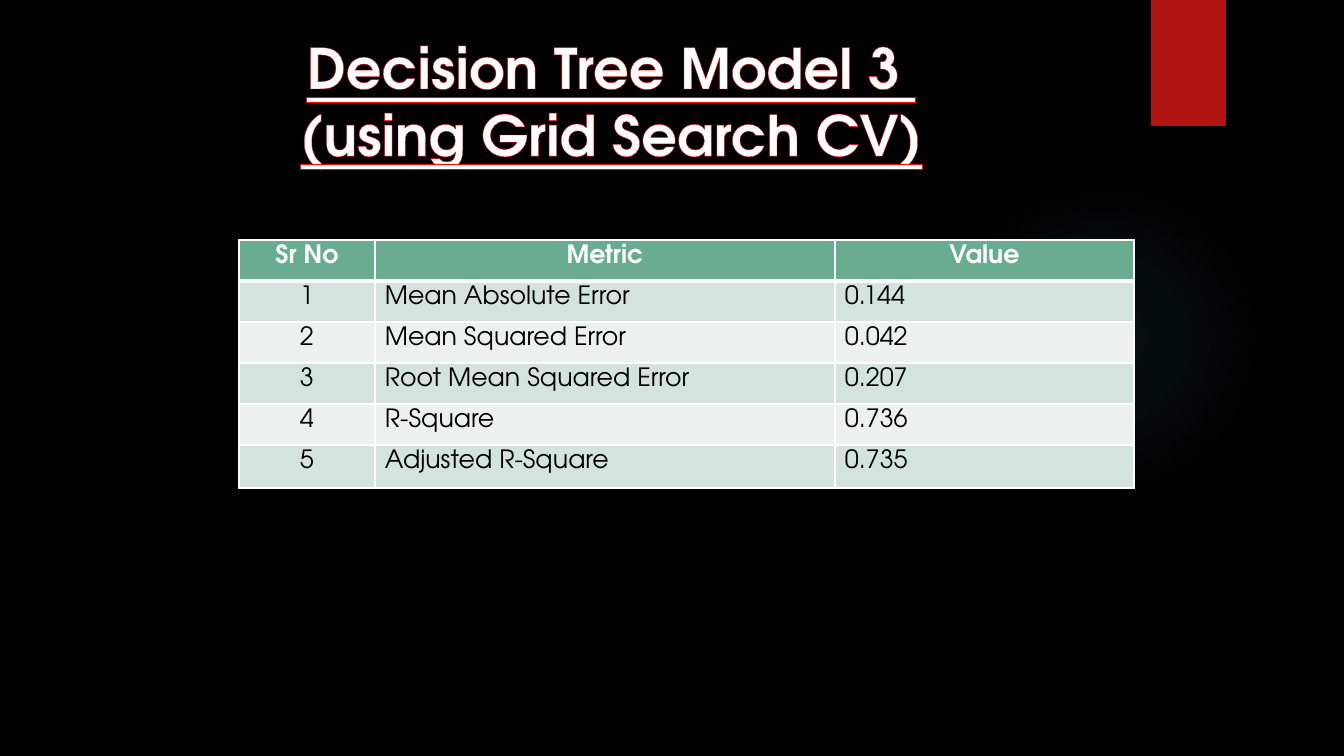
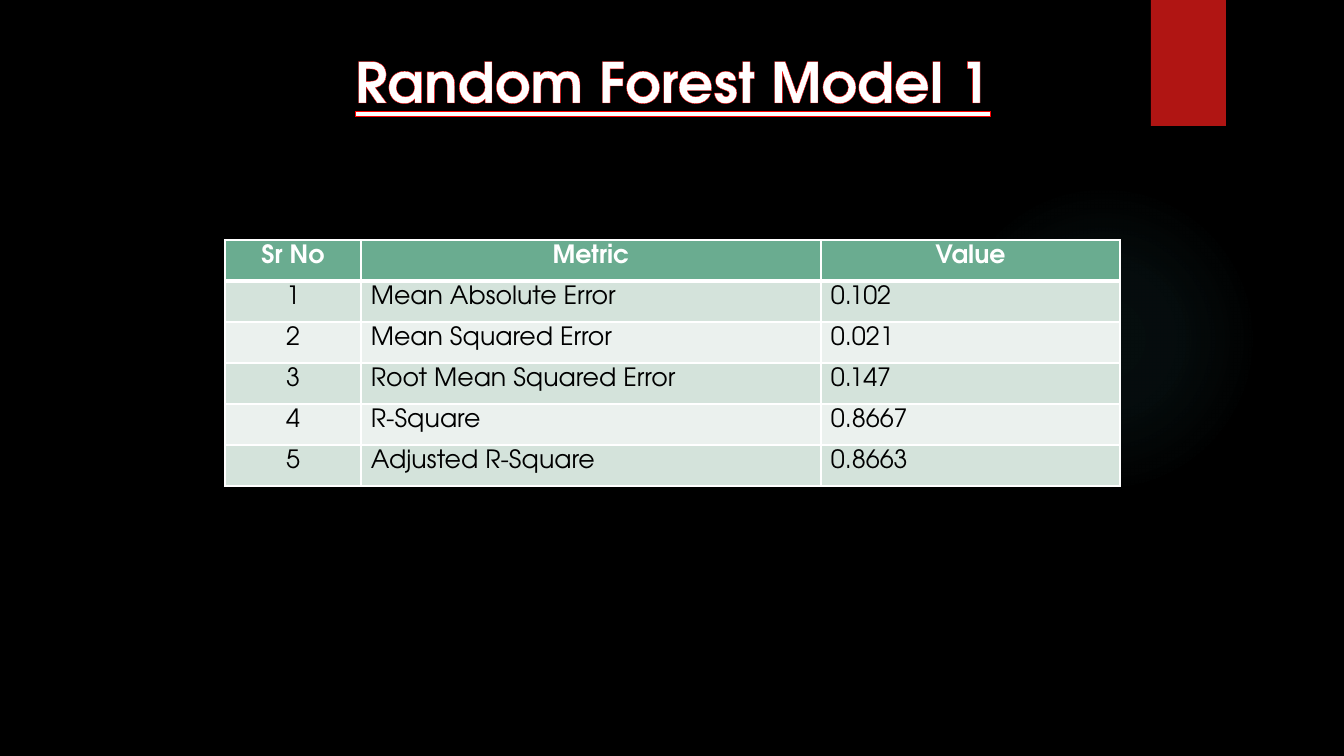
import dataclasses

import lxml.etree
import pptx
import pptx.dml.color
import pptx.enum.shapes
import pptx.enum.text
import pptx.oxml.ns
import pptx.presentation
import pptx.shapes.autoshape
import pptx.slide
import pptx.table
import pptx.text.text
import pptx.util

EMU_PER_PX = 914400 / 100.8
SLIDE_WIDTH, SLIDE_HEIGHT = 1344, 756

# Shared look
FONT = "TeX Gyre Adventor"
BLACK, WHITE, RED = "000000", "FFFFFF", "FF0000"
RIBBON, GLOW = "B01513", "50B9C1"
HEADER_FILL = "6AAC90"
BAND_FILLS = ("D4E3DB", "EBF1EE")
GLOW_STOPS = ((0, 7), (36, 6), (69, 0), (100, 0))  # position and opacity, percent

# Shared table layout
COLUMN_WIDTHS = (136, 460, 299)
ROW_HEIGHT = 41
TABLE_TOP = 240
CELL_MARGINS = {"margin_left": 10, "margin_right": 10, "margin_top": 5, "margin_bottom": 5}
HEADINGS = ("Sr No", "Metric", "Value")
METRICS = (
    "Mean Absolute Error",
    "Mean Squared Error",
    "Root Mean Squared Error",
    "R-Square",
    "Adjusted R-Square",
)

CENTER = pptx.enum.text.PP_ALIGN.CENTER
LEFT = pptx.enum.text.PP_ALIGN.LEFT
TITLE_FORMAT = {"size": pptx.util.Pt(40), "name": FONT, "bold": True, "underline": True}
HEADER_FORMAT = {"size": pptx.util.Pt(18), "name": FONT, "bold": True}
BODY_FORMAT = {**HEADER_FORMAT, "bold": False}


@dataclasses.dataclass(frozen=True)
class Box:
    left: int
    top: int
    width: int
    height: int


@dataclasses.dataclass(frozen=True)
class ModelResult:
    title: tuple[str, ...]
    title_box: Box
    table_left: int
    values: tuple[str, ...]
    last_row_height: int = ROW_HEIGHT


RESULTS = (
    ModelResult(
        ("Decision Tree Model 3 ", "(using Grid Search CV)"),
        Box(101, 28, 1020, 214),
        239,
        ("0.144", "0.042", "0.207", "0.736", "0.735"),
        last_row_height=43,
    ),
    ModelResult(
        ("Random Forest Model 1",),
        Box(87, 42, 1171, 146),
        225,
        ("0.102", "0.021", "0.147", "0.8667", "0.8663"),
    ),
)


def px(length: int) -> int:
    return pptx.util.Emu(round(length * EMU_PER_PX))


def place(box: Box) -> tuple[int, ...]:
    return tuple(px(length) for length in dataclasses.astuple(box))


def color(value: str) -> pptx.dml.color.RGBColor:
    return pptx.dml.color.RGBColor.from_string(value)


def add_xml(parent: lxml.etree._Element, tag: str, **attributes: str) -> lxml.etree._Element:
    return lxml.etree.SubElement(parent, pptx.oxml.ns.qn(tag), attributes)


def line_xml(parent: lxml.etree._Element, tag: str, position: int, points: float, value: str) -> None:
    """Put a solid line at the given place among the children of parent."""
    line = add_xml(parent, tag, w=str(pptx.util.Pt(points)))
    add_xml(add_xml(line, "a:solidFill"), "a:srgbClr", val=value)
    parent.insert(position, line)


def write(
    paragraph: pptx.text.text._Paragraph, text: str, text_format: dict, value: str, alignment: int
) -> pptx.text.text._Run:
    paragraph.alignment = alignment
    run = paragraph.add_run()
    run.text = text
    for name, setting in text_format.items():
        setattr(run.font, name, setting)
    run.font.color.rgb = color(value)
    return run


# Background, glow and ribbon
def add_plain_shape(slide: pptx.slide.Slide, kind: int, box: Box) -> pptx.shapes.autoshape.Shape:
    shape = slide.shapes.add_shape(kind, *place(box))
    shape.shadow.inherit = False
    shape.line.fill.background()
    return shape


def add_backdrop(slide: pptx.slide.Slide) -> None:
    slide.background.fill.solid()
    slide.background.fill.fore_color.rgb = color(BLACK)

    shapes = pptx.enum.shapes.MSO_SHAPE
    glow = add_plain_shape(slide, shapes.OVAL, Box(949, 184, 310, 310))
    glow.fill.gradient()
    gradient = glow.element.spPr.find(pptx.oxml.ns.qn("a:gradFill"))
    for child in list(gradient):
        gradient.remove(child)
    stops = add_xml(gradient, "a:gsLst")
    for position, opacity in GLOW_STOPS:
        stop = add_xml(stops, "a:gs", pos=str(position * 1000))
        add_xml(add_xml(stop, "a:srgbClr", val=GLOW), "a:alpha", val=str(opacity * 1000))
    center = dict.fromkeys("ltrb", "50000")
    add_xml(add_xml(gradient, "a:path", path="circle"), "a:fillToRect", **center)

    ribbon = add_plain_shape(slide, shapes.RECTANGLE, Box(1151, 0, 75, 126))
    ribbon.fill.solid()
    ribbon.fill.fore_color.rgb = color(RIBBON)


# Title
def add_title(slide: pptx.slide.Slide, lines: tuple[str, ...], box: Box) -> None:
    frame = slide.shapes.add_textbox(*place(box)).text_frame
    frame.word_wrap = True
    frame.auto_size = pptx.enum.text.MSO_AUTO_SIZE.SHAPE_TO_FIT_TEXT
    for index, text in enumerate(lines):
        paragraph = frame.add_paragraph() if index else frame.paragraphs[0]
        run = write(paragraph, text, TITLE_FORMAT, WHITE, CENTER)
        line_xml(run.font._element, "a:ln", 0, 0.75, RED)


# Metrics table
def fill_cell(cell: pptx.table._Cell, text: str, row: int, column: int) -> None:
    is_header = row == 0
    for name, margin in CELL_MARGINS.items():
        setattr(cell, name, px(margin))
    cell.fill.solid()
    cell.fill.fore_color.rgb = color(HEADER_FILL if is_header else BAND_FILLS[(row - 1) % 2])
    write(
        cell.text_frame.paragraphs[0],
        text,
        HEADER_FORMAT if is_header else BODY_FORMAT,
        WHITE if is_header else BLACK,
        CENTER if is_header or column == 0 else LEFT,
    )
    borders = {"a:lnL": 1, "a:lnR": 1, "a:lnT": 3 if row == 1 else 1, "a:lnB": 3 if is_header else 1}
    properties = cell._tc.get_or_add_tcPr()
    for position, (tag, points) in enumerate(borders.items()):
        line_xml(properties, tag, position, points, WHITE)


def add_metrics_table(slide: pptx.slide.Slide, result: ModelResult) -> None:
    numbers = (str(number) for number in range(1, len(METRICS) + 1))
    rows = [HEADINGS, *zip(numbers, METRICS, result.values)]
    heights = [ROW_HEIGHT] * len(METRICS) + [result.last_row_height]
    box = Box(result.table_left, TABLE_TOP, sum(COLUMN_WIDTHS), sum(heights))
    table = slide.shapes.add_table(len(rows), len(HEADINGS), *place(box)).table
    table.horz_banding = False
    for column, width in zip(table.columns, COLUMN_WIDTHS):
        column.width = px(width)
    for row, height in zip(table.rows, heights):
        row.height = px(height)
    for row_index, texts in enumerate(rows):
        for column_index, text in enumerate(texts):
            fill_cell(table.cell(row_index, column_index), text, row_index, column_index)


def add_result_slide(presentation: pptx.presentation.Presentation, result: ModelResult) -> None:
    slide = presentation.slides.add_slide(presentation.slide_layouts[6])
    add_backdrop(slide)
    add_metrics_table(slide, result)
    add_title(slide, result.title, result.title_box)


def main() -> None:
    presentation = pptx.Presentation()
    presentation.slide_width = px(SLIDE_WIDTH)
    presentation.slide_height = px(SLIDE_HEIGHT)
    for result in RESULTS:
        add_result_slide(presentation, result)
    presentation.save("out.pptx")


if __name__ == "__main__":
    main()
